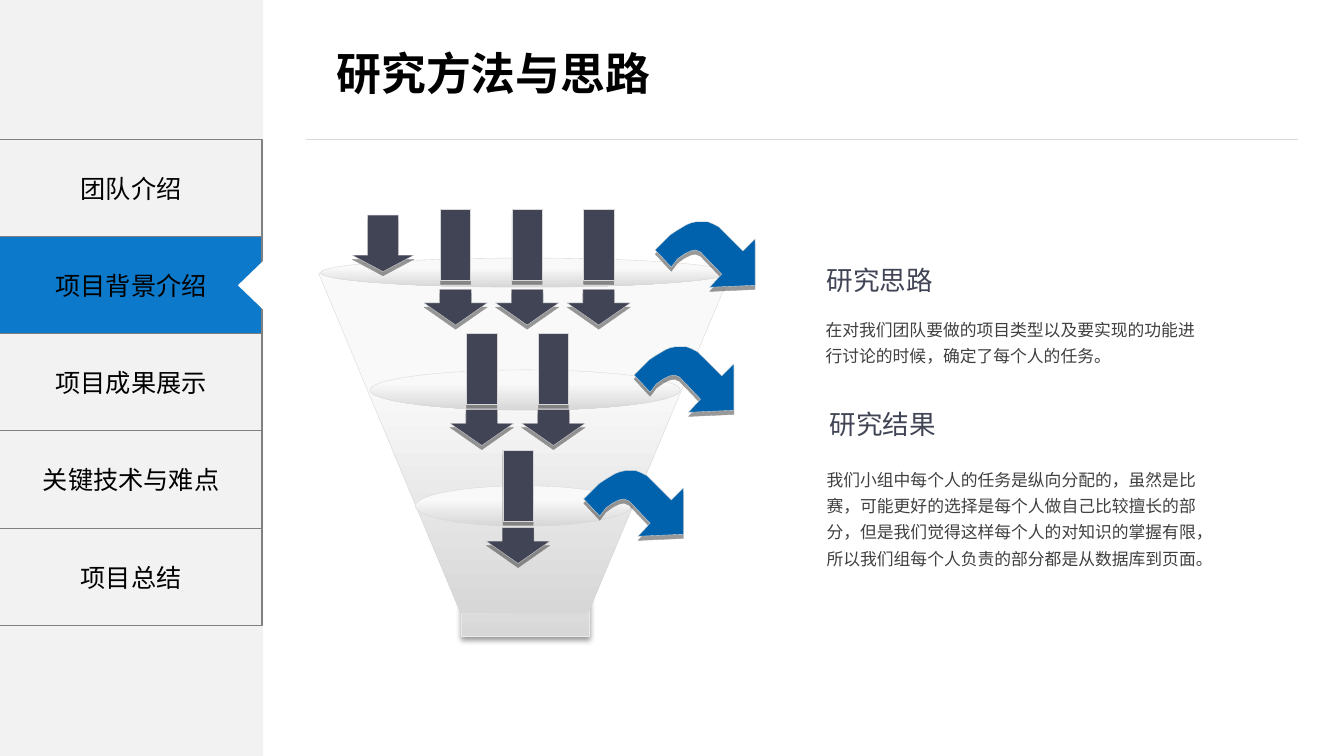
import pptx
import pptx.dml.color
import pptx.enum.shapes
import pptx.enum.text
import pptx.oxml
import pptx.oxml.ns
import pptx.util

SHAPE = pptx.enum.shapes.MSO_SHAPE
ANCHOR = pptx.enum.text.MSO_ANCHOR
ALIGN = pptx.enum.text.PP_ALIGN
CELL = pptx.util.Inches(0.1)
COLUMNS, ROWS = 133.33, 75

COLORS = {
    "panel": "F2F2F2", "active": "0D79CA", "border": "808080",
    "white": "FFFFFF", "black": "000000", "rule": "D9D9D9",
    "light": "F9F9F9", "gray": "D7D7D7", "spout": "EAEAEA",
    "dark": "414455", "blue": "0062AC", "body": "404040",
}
FONTS = {"menu": "Arial", "content": "Noto Sans CJK SC"}
MENU = ["团队介绍", "项目背景介绍", "项目成果展示", "关键技术与难点", "项目总结"]
ACTIVE_ITEM = 1
SECTIONS = [
    ("研究思路", (0.1, 0), "在对我们团队要做的项目类型以及要实现的功能进行讨论的时候，确定了每个人的任务。", (0, 4.9, 6.4)),
    ("研究结果", (0.4, 14.3), "我们小组中每个人的任务是纵向分配的，虽然是比赛，可能更好的选择是每个人做自己比较擅长的部分，"
     "但是我们觉得这样每个人的对知识的掌握有限，所以我们组每个人负责的部分都是从数据库到页面。", (0.1, 19.8, 11.7)),
]
ARROW_ROWS = [(13.6, 0, 3, 7.9), (16.2, 12.3, 2, 7.55), (19.8, 23.9, 1, 7.65)]
BENT_ARROWS = [(33.4, 1.2), (31.3, 13.6), (26.3, 25.9)]
BENT_OUTLINE = [
    (9.9, 1.7), (9.9, 6.3), (5.4, 6.5), (6.6, 5.2), (4.5, 3), (4, 2.8), (3.5, 2.9),
    (2.9, 3.2), (2.2, 3.7), (1.6, 4.5), (0, 2.8), (1.1, 1.7), (1.5, 1.3), (2.1, 0.9),
    (2.6, 0.6), (3.1, 0.3), (3.6, 0.1), (4.1, 0), (4.7, 0), (5.2, 0), (5.7, 0.2),
    (6.3, 0.5), (6.6, 0.8), (8.7, 2.9),
]


def cells(count):
    return pptx.util.Emu(round(count * CELL))


def rgb(name):
    return pptx.dml.color.RGBColor.from_string(COLORS[name])


def apply(target, values):
    for name, value in values.items():
        setattr(target, name, value)


def add_shadow(shape, blur):
    namespace = pptx.oxml.ns.nsdecls("a")
    shape._element.spPr.append(pptx.oxml.parse_xml(
        f'<a:effectLst {namespace}><a:outerShdw blurRad="{blur * 12700}" dist="38100" '
        f'dir="5400000" algn="t" rotWithShape="0"><a:srgbClr val="{COLORS["black"]}">'
        '<a:alpha val="40000"/></a:srgbClr></a:outerShdw></a:effectLst>'))


def paint(shape, fill, line=None, width=0.25, shadow=None):
    if fill == "gradient":
        shape.fill.gradient()
        shape.fill.gradient_angle = 270
        for stop, (position, color) in zip(shape.fill.gradient_stops, [(0.33, "light"), (1, "gray")]):
            stop.position = position
            stop.color.rgb = rgb(color)
    else:
        shape.fill.solid()
        shape.fill.fore_color.rgb = rgb(fill)
    if line:
        shape.line.color.rgb = rgb(line)
        shape.line.width = pptx.util.Pt(width)
    else:
        shape.line.fill.background()
    if shadow is None:
        shape.shadow.inherit = False
    else:
        add_shadow(shape, shadow)


def add_preset(shapes, kind, box, adjustments=(), **look):
    shape = shapes.add_shape(kind, *map(cells, box))
    for index, value in enumerate(adjustments):
        shape.adjustments[index] = value
    paint(shape, **look)
    return shape


def add_outline(shapes, origin, points, **look):
    left, top = origin
    corners = [(cells(left + x), cells(top + y)) for x, y in points]
    builder = shapes.build_freeform(*corners[0])
    builder.add_line_segments(corners[1:], close=True)
    paint(builder.convert_to_shape(), **look)


def write(shape, text, size, color, font, margins, bold=False, anchor=ANCHOR.TOP, paragraph_format=None):
    frame = shape.text_frame
    side, edge = map(cells, margins)
    apply(frame, {"word_wrap": True, "vertical_anchor": anchor, "margin_left": side,
                  "margin_right": side, "margin_top": edge, "margin_bottom": edge})
    paragraph = frame.paragraphs[0]
    apply(paragraph, paragraph_format or {})
    run = paragraph.add_run()
    run.text = text
    apply(run.font, {"size": pptx.util.Pt(size), "bold": bold, "name": FONTS[font]})
    run.font.color.rgb = rgb(color)
    east_asian = run.font._element.makeelement(pptx.oxml.ns.qn("a:ea"), {"typeface": FONTS[font]})
    run.font._element.append(east_asian)


def add_text(slide, box, text, **style):
    write(slide.shapes.add_textbox(*map(cells, box)), text, **style)


def build_sidebar(slide, box):
    left, top, width, height = box
    add_preset(slide.shapes, SHAPE.RECTANGLE, box, fill="panel")
    first, pitch, item_height = top + 13.8, 9.65, 9.7
    for index, label in enumerate(MENU):
        fill = "active" if index == ACTIVE_ITEM else "panel"
        item = add_preset(slide.shapes, SHAPE.RECTANGLE, (left, first + index * pitch, width - 0.1, item_height),
                          fill=fill, line="border", width=0.75)
        write(item, label, 18, "black", "menu", (1, 3.1), anchor=ANCHOR.MIDDLE,
              paragraph_format={"alignment": ALIGN.CENTER})
    marker_top = first + ACTIVE_ITEM * pitch + (item_height - 5.1) / 2
    add_preset(slide.shapes, SHAPE.DIAMOND, (left + width - 2.4, marker_top, 5.3, 5.1),
               fill="white", line="white", width=1)


def build_header(slide, box):
    left, top, width, height = box
    bottom = cells(top + height)
    rule = slide.shapes.add_connector(pptx.enum.shapes.MSO_CONNECTOR.STRAIGHT,
                                      cells(left), bottom, cells(left + width), bottom)
    rule.line.color.rgb = rgb("rule")
    rule.line.width = pptx.util.Pt(0.75)
    effects = rule._element.spPr.makeelement(pptx.oxml.ns.qn("a:effectLst"), {})
    rule._element.spPr.append(effects)
    add_text(slide, (left + 2, top + 4, 34.8, 6.4), "研究方法与思路", size=32, color="black",
             font="menu", margins=(1, 0.5), bold=True)


def build_funnel(slide, box):
    left, top, width, height = box
    shapes = slide.shapes.add_group_shape().shapes
    spout_width, spout_height = 12.7, 17.6
    add_preset(shapes, SHAPE.RECTANGLE, (left + 14.2, top + height - spout_height, spout_width, spout_height),
               fill="gradient", line="spout", shadow=4)
    add_outline(shapes, (left, top + 1.5), [(0, 0), (14.1, 33.7), (26.7, 33.8), (width, 0.2)],
                fill="gradient", line="gray")
    for offset, drop, ring_width, ring_height in [(0.2, 0, 40.5, 2.9), (5.1, 11.1, 30.8, 4), (9.6, 22.6, 21.4, 4)]:
        add_preset(shapes, SHAPE.OVAL, (left + offset, top + drop, ring_width, ring_height),
                   fill="gradient", line="gray")


def build_arrows(slide, box):
    left, top, width, height = box
    dark = {"fill": "dark", "line": "gray", "shadow": 0}
    add_preset(slide.shapes, SHAPE.DOWN_ARROW, (left + 3.35, top + 0.55, 6.1, 5.6), (0.5, 0.29), **dark)
    pitch, shaft_width, head_width = 7.1, 3, 6.3
    for center, row_top, count, head_drop in ARROW_ROWS:
        for index in range(count):
            middle = left + center + index * pitch
            add_preset(slide.shapes, SHAPE.RECTANGLE,
                       (middle - shaft_width / 2, top + row_top, shaft_width, 7), **dark)
            add_preset(slide.shapes, SHAPE.DOWN_ARROW,
                       (middle - head_width / 2, top + row_top + head_drop, head_width, 3.55), (0.5, 0.62), **dark)
    for offset, drop in BENT_ARROWS:
        add_outline(slide.shapes, (left + offset, top + drop), BENT_OUTLINE, fill="blue", line="gray", shadow=0)


def build_sections(slide, box):
    left, top, width, height = box
    style = {"font": "content", "margins": (1.2, 0.6)}
    for heading, (heading_x, heading_y), body, (body_x, body_y, body_height) in SECTIONS:
        add_text(slide, (left + heading_x, top + heading_y, width, 4.4), heading, size=19, color="dark", **style)
        add_text(slide, (left + body_x, top + body_y, width, body_height), body, size=12, color="body",
                 paragraph_format={"line_spacing": 1.3}, **style)


def main():
    presentation = pptx.Presentation()
    apply(presentation, {"slide_width": cells(COLUMNS), "slide_height": cells(ROWS)})
    slide = presentation.slides.add_slide(presentation.slide_layouts[6])
    build_sidebar(slide, (0, 0, 26.1, ROWS))
    build_header(slide, (30.4, 0, 98.4, 13.8))
    build_funnel(slide, (31.6, 25.6, 40.8, 37.5))
    build_arrows(slide, (31.6, 20.8, 43.3, 36))
    build_sections(slide, (80.7, 25.6, 39.1, 31.5))
    presentation.save("out.pptx")


if __name__ == "__main__":
    main()
